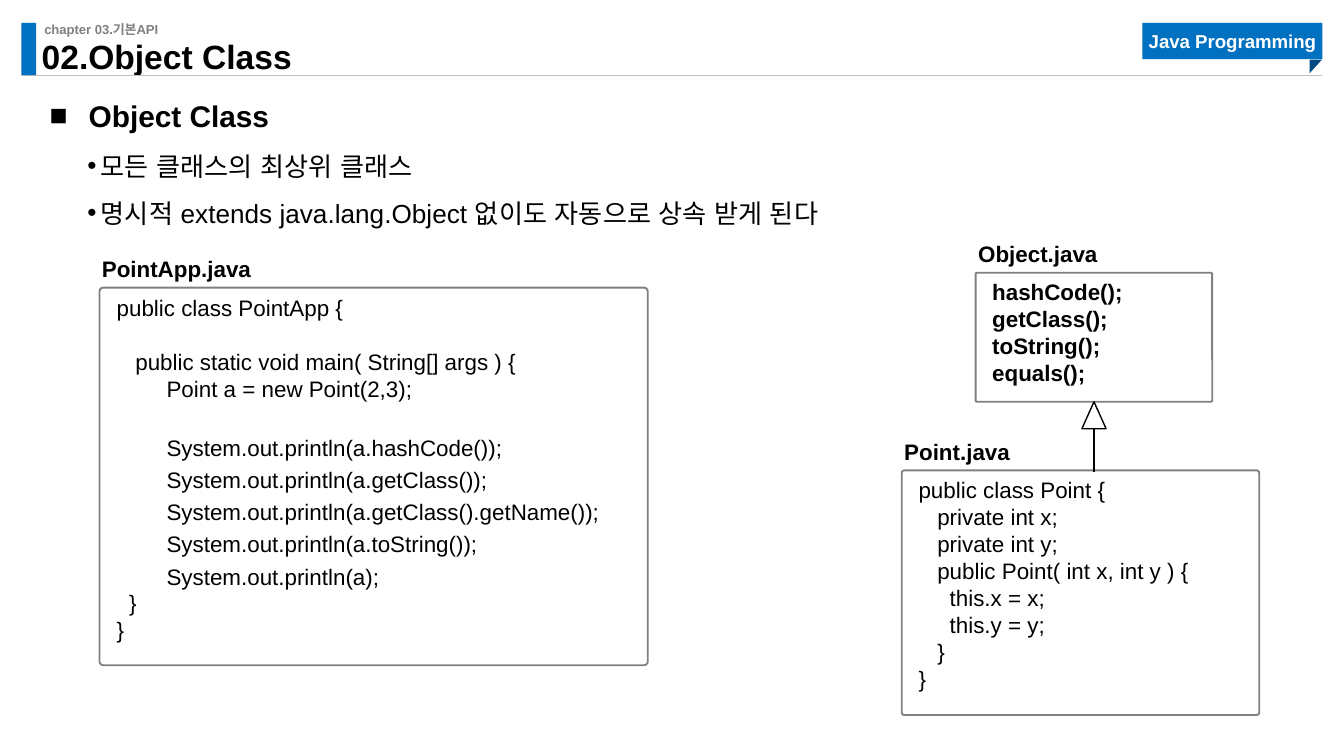
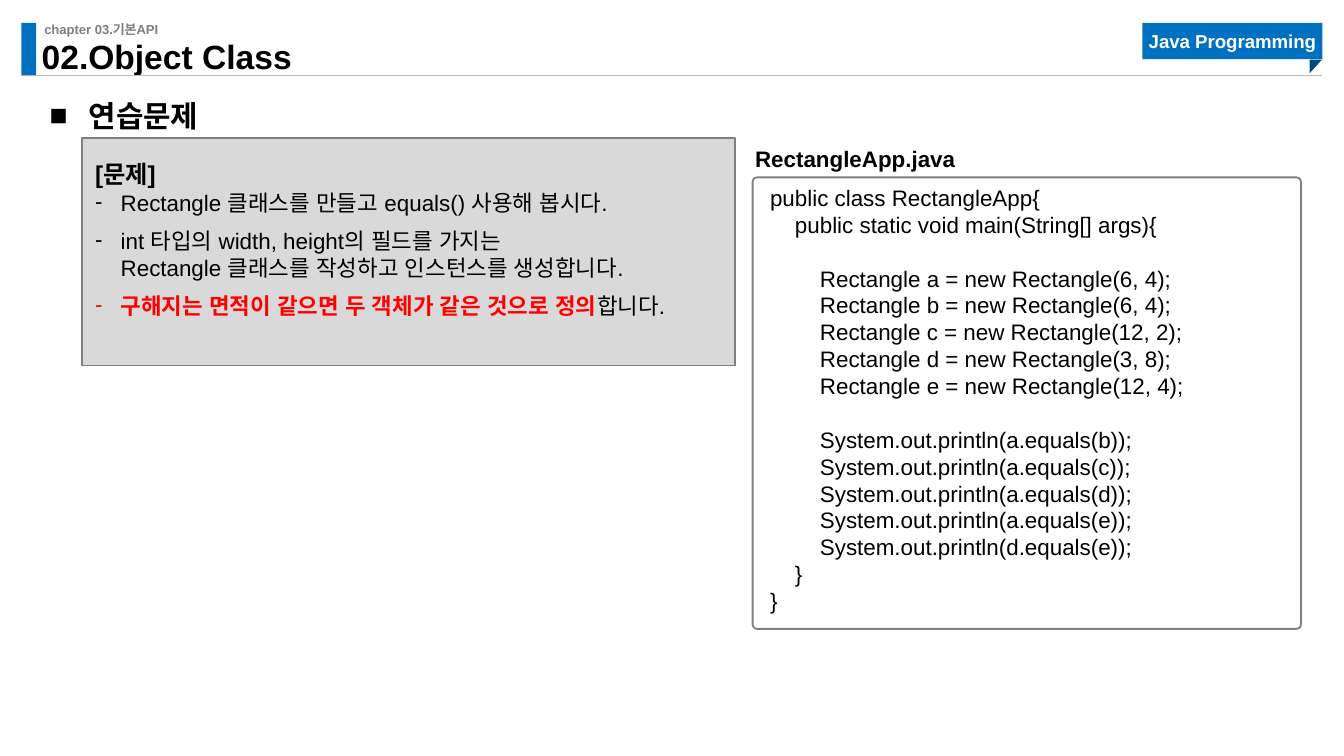
from lxml.etree import SubElement
from pptx import Presentation
from pptx.dml.color import RGBColor
from pptx.enum.shapes import MSO_CONNECTOR, MSO_SHAPE as SHAPE
from pptx.enum.text import MSO_ANCHOR as ANCHOR, MSO_AUTO_SIZE as FIT, PP_ALIGN as ALIGN
from pptx.oxml.ns import qn
from pptx.util import Inches, Pt

COLORS = {
    "ink": "000000", "white": "FFFFFF", "blue": "0070C0", "navy": "004A82",
    "rule": "BFBFBF", "gray": "808080", "panel": "D9D9D9", "red": "FF0000",
}
RGB = {name: RGBColor.from_string(value) for name, value in COLORS.items()}
FONT = "Arial"
SPACE = 3.34 / 72      # width of one 12 pt space, in inches
BLANK_LINE = 14.4      # height of one 12 pt code line, in points

POINT_APP = """\
public class PointApp {

   public static void main( String[] args ) {
        Point a = new Point(2,3);

        System.out.println(a.hashCode());
        System.out.println(a.getClass());
        System.out.println(a.getClass().getName());
        System.out.println(a.toString());
        System.out.println(a);
  }
}"""
OBJECT_METHODS = """\
hashCode();
getClass();
toString();
equals();"""
POINT = """\
public class Point {
   private int x;
   private int y;
   public Point( int x, int y ) {
     this.x = x;
     this.y = y;
   }
}"""
RECTANGLE_APP = """\
public class RectangleApp{
    public static void main(String[] args){

        Rectangle a = new Rectangle(6, 4);
        Rectangle b = new Rectangle(6, 4);
        Rectangle c = new Rectangle(12, 2);
        Rectangle d = new Rectangle(3, 8);
        Rectangle e = new Rectangle(12, 4);

        System.out.println(a.equals(b));
        System.out.println(a.equals(c));
        System.out.println(a.equals(d));
        System.out.println(a.equals(e));
        System.out.println(d.equals(e));
    }
}"""


def write(frame, runs, size, indent=0, hang=0, bullet=None, spacing=1.0, before=0, level=0):
    """Add a paragraph of (text, color, bold) runs; a newline is a line break."""
    para = frame.paragraphs[0]
    if para.runs:
        para = frame.add_paragraph()
    para.alignment, para.level = ALIGN.LEFT, level
    para.line_spacing, para.space_before = spacing, Pt(before)
    props = para._p.get_or_add_pPr()
    props.set("marL", str(Inches(indent)))
    props.set("indent", str(Inches(-hang)))
    if bullet:
        SubElement(props, qn("a:buFont"), typeface=FONT)
        SubElement(props, qn("a:buChar"), char=bullet)
    for text, color, bold in runs:
        for number, piece in enumerate(text.split("\n")):
            if number:
                para.add_line_break()
                SubElement(para._p[-1], qn("a:rPr"), sz=str(size * 100))
            run = para.add_run()
            run.text = piece
            run.font.name, run.font.size, run.font.bold = FONT, Pt(size), bold
            run.font.color.rgb = RGB[color]
            SubElement(run._r.get_or_add_rPr(), qn("a:ea"), typeface=FONT)
    return para


def code_panel(slide, file_name, box, code, bold=False, println_spacing=1.0):
    """Draw a captioned, outlined panel of source code."""
    left, top, width, height = box
    panel = slide.shapes.add_shape(SHAPE.ROUNDED_RECTANGLE, *map(Inches, box))
    panel.adjustments[0] = 0.01
    panel.shadow.inherit = False
    panel.fill.background()
    panel.line.color.rgb, panel.line.width = RGB["gray"], Pt(1)
    frame = panel.text_frame
    frame.vertical_anchor = ANCHOR.TOP
    frame.margin_left = frame.margin_right = Inches(0.12)
    frame.margin_top = frame.margin_bottom = Inches(0.04)
    before = 0
    for line in code.splitlines():
        statement = line.lstrip()
        if not statement:
            before = BLANK_LINE
            continue
        write(frame, [(statement, "ink", bold)], 12, before=before,
              indent=(len(line) - len(statement)) * SPACE,
              spacing=println_spacing if statement.startswith("System") else 1.0)
        before = 0
    caption = slide.shapes.add_textbox(
        Inches(left - 0.08), Inches(top - 0.29), Inches(1.96), Inches(0.3)).text_frame
    caption.word_wrap = True
    write(caption, [(file_name, "ink", True)], 12)
    return panel


prs = Presentation()
prs.slide_width = Inches(10)
prs.slide_height = prs.slide_width * 9 // 16
TITLE_AND_CONTENT, TWO_CONTENT = prs.slide_layouts[1], prs.slide_layouts[3]
object_slide = prs.slides.add_slide(TWO_CONTENT)
exercise_slide = prs.slides.add_slide(TITLE_AND_CONTENT)

# Shared header, title and heading
for slide, topic in ((object_slide, "Object Class"), (exercise_slide, "연습문제")):
    rule = slide.shapes.add_connector(
        MSO_CONNECTOR.STRAIGHT, Inches(0.16), Inches(0.56), Inches(9.84), Inches(0.56))
    rule.line.color.rgb, rule.line.width = RGB["rule"], Pt(0.5)
    SubElement(rule._element.spPr, qn("a:effectLst"))

    for kind, box, color, turn in (
        (SHAPE.RECTANGLE, (0.16, 0.17, 0.11, 0.39), "blue", 0),
        (SHAPE.RIGHT_TRIANGLE, (9.74, 0.45, 0.1, 0.09), "navy", 90),
        (SHAPE.RECTANGLE, (8.5, 0.17, 1.34, 0.27), "blue", 0),
    ):
        band = slide.shapes.add_shape(kind, *map(Inches, box))
        band.rotation = turn
        band.shadow.inherit = False
        band.fill.solid()
        band.fill.fore_color.rgb = RGB[color]
        band.line.fill.background()
    course = band.text_frame
    chapter = slide.shapes.add_textbox(
        Inches(0.33), Inches(0.16), Inches(3.23), Inches(0.12)).text_frame

    title, heading = slide.shapes.title, slide.placeholders[1]
    title.left, title.top, title.width, title.height = map(Inches, (0.31, 0.34, 3.3, 0.23))
    heading.left, heading.top, heading.width, heading.height = map(
        Inches, (0.37, 0.59, 9.54, 0.33))
    for frame, anchor in ((course, ANCHOR.MIDDLE), (chapter, ANCHOR.TOP),
                          (title.text_frame, ANCHOR.BOTTOM), (heading.text_frame, ANCHOR.TOP)):
        frame.margin_left = frame.margin_right = frame.margin_top = frame.margin_bottom = 0
        frame.vertical_anchor, frame.auto_size, frame.word_wrap = anchor, FIT.NONE, True
    write(course, [("Java Programming", "white", True)], 10).alignment = ALIGN.CENTER
    write(chapter, [("chapter 03.기본API", "gray", True)], 7)
    write(title.text_frame, [("02.Object Class", "ink", True)], 18, spacing=0.9)
    write(heading.text_frame, [(topic, "ink", True)], 16,
          indent=0.29, hang=0.29, bullet="■", spacing=1.5)

# Slide 1: facts about Object
facts = object_slide.placeholders[2]
facts.left, facts.top, facts.width, facts.height = map(Inches, (0.35, 1, 7.23, 0.73))
frame = facts.text_frame
frame.margin_left = frame.margin_right = frame.margin_top = frame.margin_bottom = 0
frame.auto_size = FIT.NONE
for fact in ("모든 클래스의 최상위 클래스",
             "명시적 extends java.lang.Object 없이도 자동으로 상속 받게 된다"):
    write(frame, [(fact, "ink", False)], 14,
          indent=0.4, hang=0.1, bullet="•", spacing=1.5, level=1)

# Slide 1: code and inheritance arrow
code_panel(object_slide, "PointApp.java", (0.74, 2.14, 4.08, 2.81), POINT_APP,
           println_spacing=1.2)
object_panel = code_panel(object_slide, "Object.java", (7.26, 2.03, 1.76, 0.96),
                          OBJECT_METHODS, bold=True)
code_panel(object_slide, "Point.java", (6.71, 3.5, 2.66, 1.82), POINT)

extends = object_slide.shapes.add_connector(
    MSO_CONNECTOR.STRAIGHT, Inches(8.14), Inches(3.51), Inches(8.14), Inches(2.99))
extends.end_connect(object_panel, 2)
extends.line.color.rgb, extends.line.width = RGB["ink"], Pt(0.75)
SubElement(extends.line._get_or_add_ln(), qn("a:tailEnd"), type="triangle")
SubElement(extends._element.spPr, qn("a:effectLst"))
arrowhead = object_slide.shapes.add_shape(
    SHAPE.ISOSCELES_TRIANGLE, Inches(8.05), Inches(2.99), Inches(0.18), Inches(0.2))
arrowhead.shadow.inherit = False
arrowhead.fill.solid()
arrowhead.fill.fore_color.rgb = RGB["white"]
arrowhead.line.color.rgb, arrowhead.line.width = RGB["ink"], Pt(0.75)

# Slide 2: exercise
exercise = exercise_slide.shapes.add_shape(
    SHAPE.RECTANGLE, Inches(0.61), Inches(1.03), Inches(4.86), Inches(1.69))
exercise.shadow.inherit = False
exercise.fill.solid()
exercise.fill.fore_color.rgb = RGB["panel"]
exercise.line.color.rgb, exercise.line.width = RGB["gray"], Pt(1)
exercise.text_frame.vertical_anchor = ANCHOR.TOP
write(exercise.text_frame, [("[문제]", "ink", True)], 13, spacing=1.5)
for before, task in (
    (0, [("Rectangle 클래스를 만들고 equals() 사용해 봅시다.", "ink", False)]),
    (6, [("int 타입의 width, height의 필드를 가지는\n"
          "Rectangle 클래스를 작성하고 인스턴스를 생성합니다.", "ink", False)]),
    (6, [("구해지는 면적이 같으면 두 객체가 같은 것으로 정의", "red", True),
         ("합니다.", "ink", False)]),
):
    write(exercise.text_frame, task, 12, indent=0.19, hang=0.19, bullet="-", before=before)

# Slide 2: code
code_panel(exercise_slide, "RectangleApp.java", (5.6, 1.32, 4.08, 3.36), RECTANGLE_APP)

prs.save("out.pptx")
